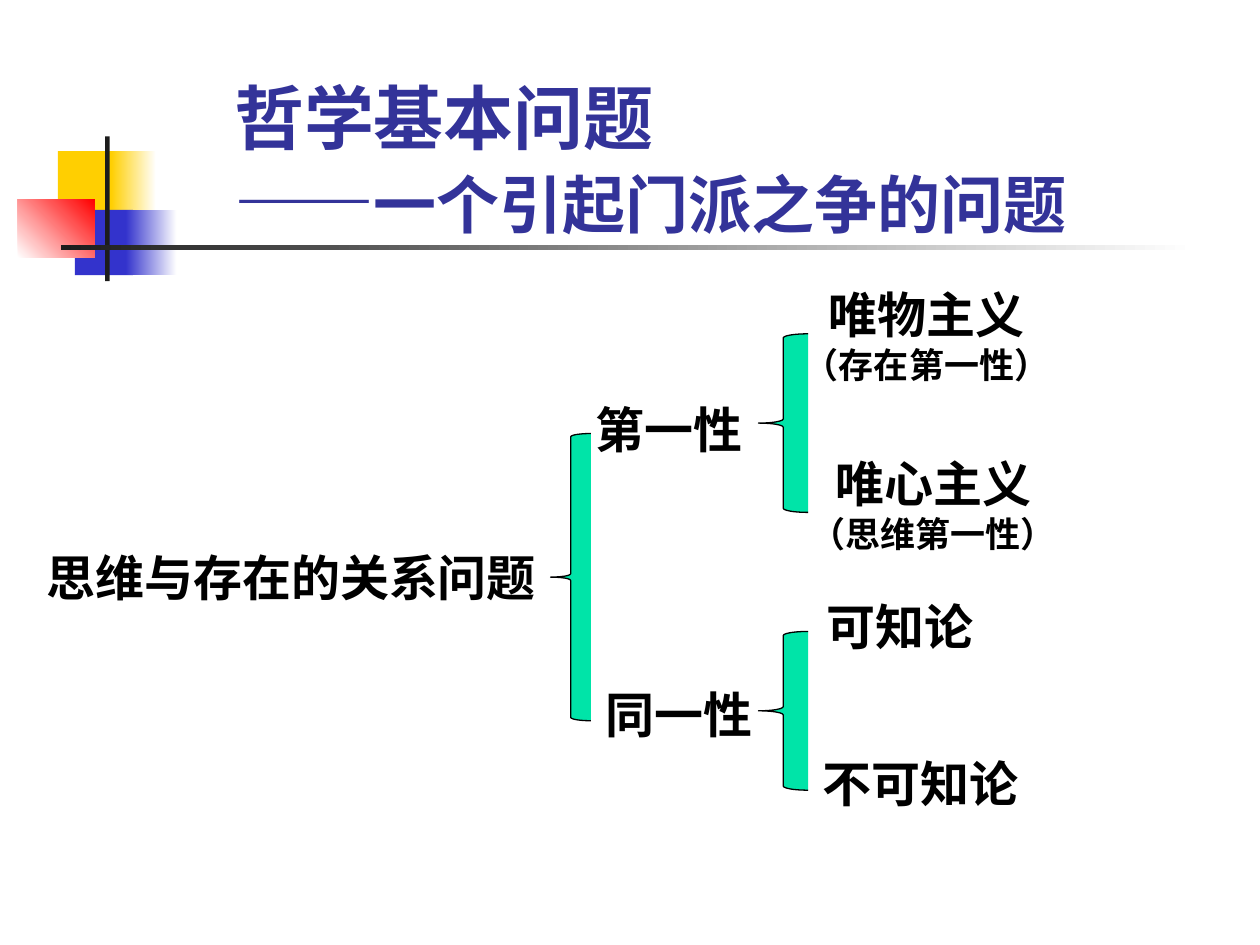
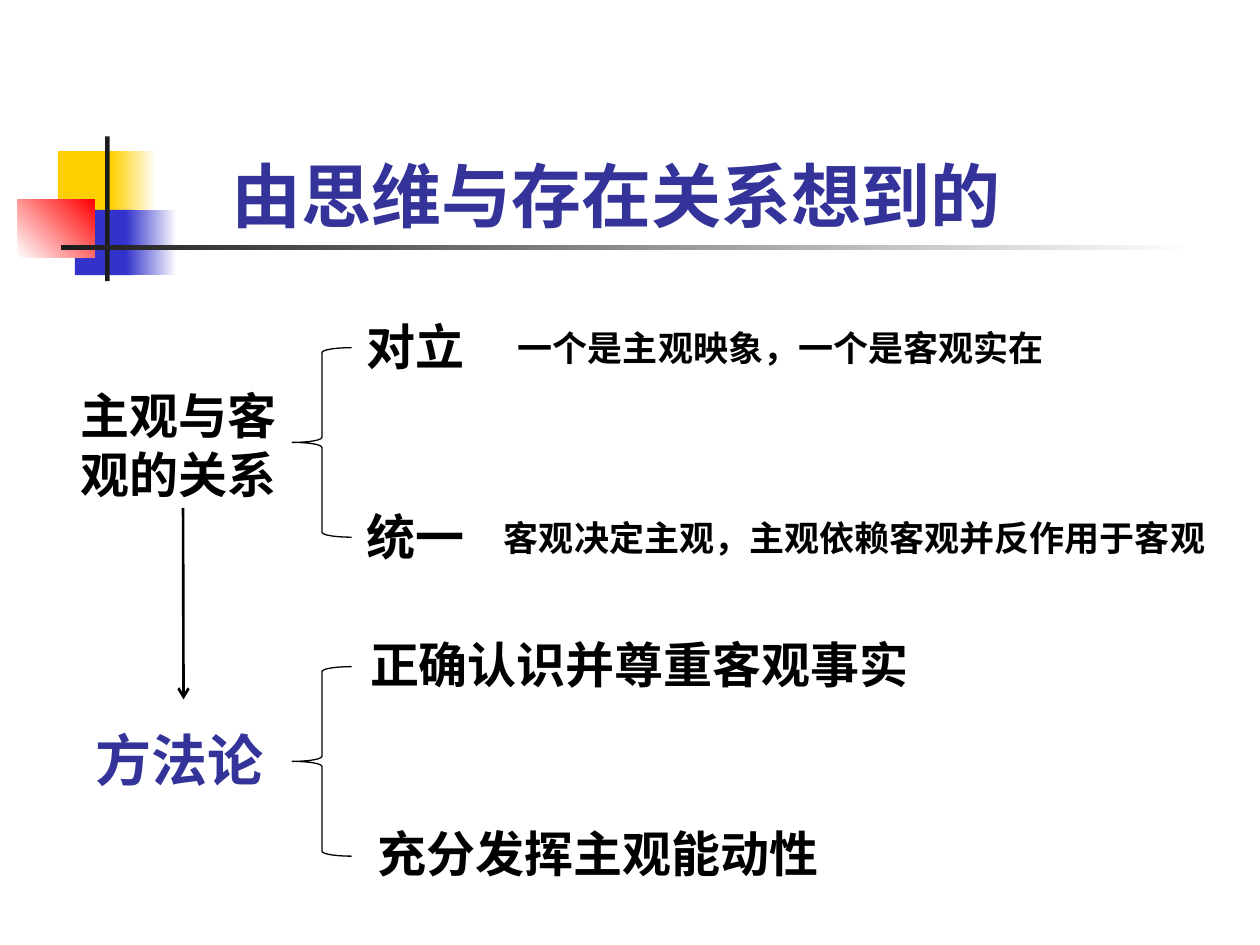
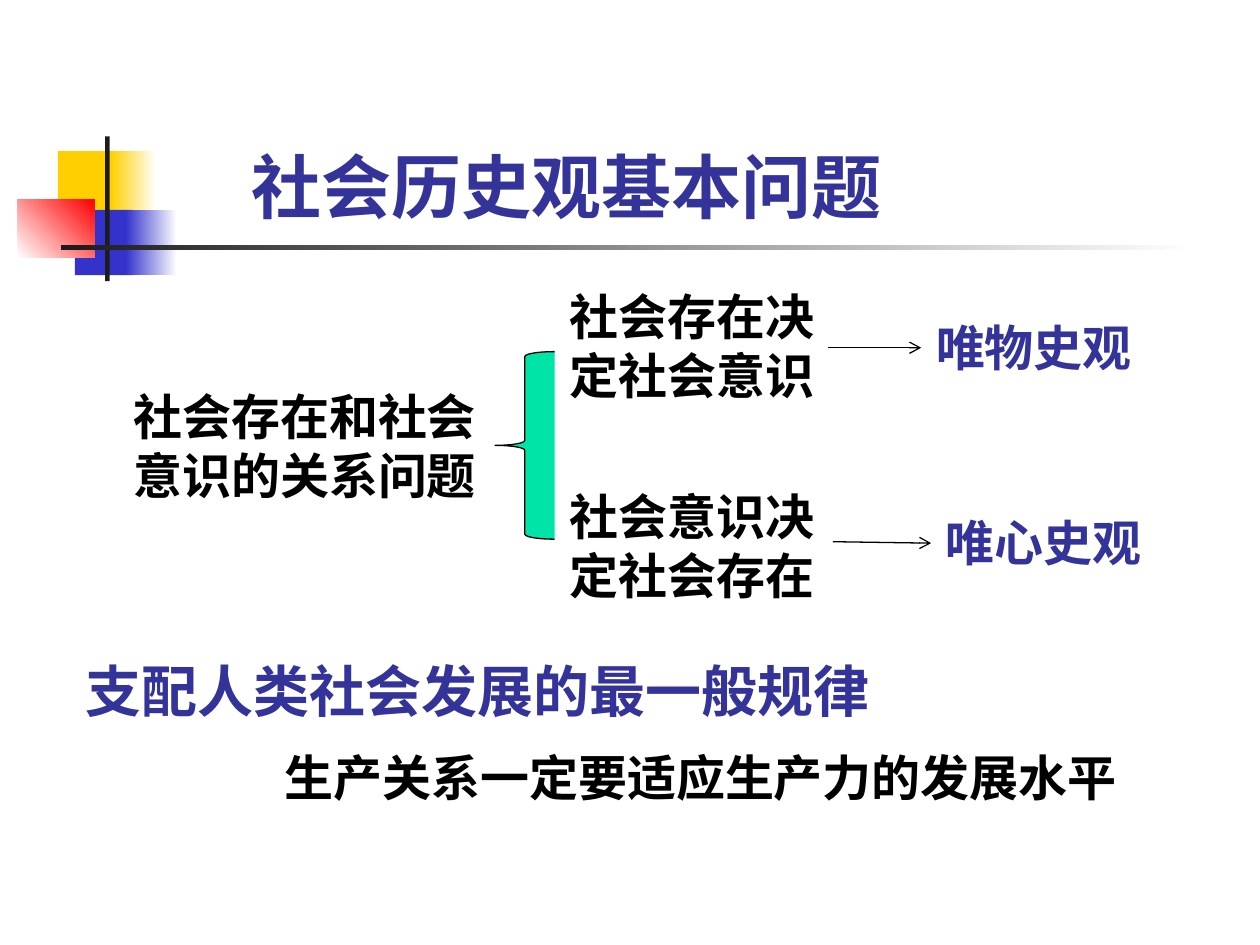
from dataclasses import dataclass

from lxml import etree
from pptx import Presentation
from pptx import util as u
from pptx.dml import color
from pptx.enum import shapes, text
from pptx.oxml import ns


@dataclass(frozen=True)
class Theme:
    black: str = "000000"
    white: str = "FFFFFF"
    heading: str = "333399"
    brace: str = "00E4A8"
    yellow: str = "FFCF01"
    blue: str = "3333CC"
    red: str = "FF0000"
    rule: str = "1C1C1C"
    title_size: int = 40
    subtitle_size: int = 36
    key_size: int = 32
    body_size: int = 28
    note_size: int = 20
    thin: float = 0.75
    thick: float = 1.5
    latin: str = "Arial"
    chinese: str = "Noto Sans CJK SC"


def rgb(value):
    return color.RGBColor.from_string(value)


def apply(target, values):
    for name, value in values.items():
        setattr(target, name, value)


class Deck:
    def __init__(self, theme):
        self.theme = theme
        self.presentation = Presentation()
        self.presentation.slide_width = u.Cm(25.4)
        self.presentation.slide_height = u.Cm(19.05)
        self.slide = None
        self.body_font = theme.latin

    def start_slide(self, body_font):
        self.slide = self.presentation.slides.add_slide(self.presentation.slide_layouts[6])
        self.body_font = body_font
        self.emblem()

    def emblem(self):
        t = self.theme
        self.block(1.17, 3.05, 1.22, 1.32, t.yellow)
        self.block(2.24, 3.05, 0.91, 1.32, t.yellow, t.white)
        self.block(1.51, 4.23, 1.17, 1.32, t.blue)
        self.block(2.54, 4.23, 1.02, 1.32, t.blue, t.white)
        self.block(0.36, 4.02, 1.55, 1.17, t.white, t.red, 45)
        self.block(2.12, 2.75, 0.09, 2.92, t.rule)
        self.block(1.23, 4.94, 22.86, 0.1, t.rule, t.white)

    def shape(self, kind, left, top, width, height):
        shape = self.slide.shapes.add_shape(
            kind, u.Cm(left), u.Cm(top), u.Cm(width), u.Cm(height))
        shape.shadow.inherit = False
        return shape

    def block(self, left, top, width, height, start, end=None, angle=0):
        shape = self.shape(shapes.MSO_SHAPE.RECTANGLE, left, top, width, height)
        shape.line.fill.background()
        if end is None:
            shape.fill.solid()
            shape.fill.fore_color.rgb = rgb(start)
            return
        shape.fill.gradient()
        shape.fill.gradient_angle = angle
        for stop, value in zip(shape.fill.gradient_stops, (start, end)):
            stop.color.rgb = rgb(value)

    def brace(self, left, top, width, height, fill=None):
        shape = self.shape(shapes.MSO_SHAPE.LEFT_BRACE, left, top, width, height)
        if fill:
            shape.fill.solid()
            shape.fill.fore_color.rgb = rgb(fill)
        else:
            shape.fill.background()
        self.outline(shape.line, self.theme.thin)

    def outline(self, line, width):
        line.color.rgb = rgb(self.theme.black)
        line.width = u.Pt(width)

    def arrow(self, start, end, width):
        connector = self.slide.shapes.add_connector(
            shapes.MSO_CONNECTOR.STRAIGHT, *(u.Cm(value) for value in start + end))
        self.outline(connector.line, width)
        line = connector.line._get_or_add_ln()
        etree.SubElement(line, ns.qn("a:tailEnd"), type="arrow")
        etree.SubElement(connector._element.spPr, ns.qn("a:effectLst"))

    def label(self, left, top, width, *lines, size=None, ink=None, font=None, centred=False):
        size = size or self.theme.body_size
        rows = [[(line, {})] if isinstance(line, str) else line for line in lines]
        line_sizes = [max(style.get("size", size) for _, style in row) for row in rows]
        height = sum(line_sizes) * 0.0425 + 0.25
        box = self.slide.shapes.add_textbox(
            u.Cm(left), u.Cm(top), u.Cm(width), u.Cm(height))
        frame = box.text_frame
        apply(frame, {"word_wrap": False, "auto_size": text.MSO_AUTO_SIZE.SHAPE_TO_FIT_TEXT})
        for index, row in enumerate(rows):
            paragraph = frame.add_paragraph() if index else frame.paragraphs[0]
            if centred:
                paragraph.alignment = text.PP_ALIGN.CENTER
            for words, style in row:
                run = paragraph.add_run()
                run.text = words
                run.font.color.rgb = rgb(ink or self.theme.black)
                apply(run.font, {
                    "name": style.get("font", font or self.body_font),
                    "size": u.Pt(style.get("size", size)),
                    "bold": True,
                })
                etree.SubElement(run._r.get_or_add_rPr(), ns.qn("a:ea"),
                                 typeface=self.theme.chinese)

    def title(self, left, top, width, *lines):
        t = self.theme
        self.label(left, top, width, *lines, size=t.title_size, ink=t.heading, font=t.latin)

    def school(self, left, top, name, claim):
        self.label(left, top, 5.46, name, [(claim, {"size": self.theme.note_size})],
                   centred=True)


def philosophy_slide(deck):
    t = deck.theme
    deck.start_slide(t.latin)
    deck.title(4.47, 1.37, 17.3, "哲学基本问题",
               [("——", {"font": t.chinese}),
                ("一个引起门派之争的问题", {"size": t.subtitle_size})])
    deck.label(0.69, 10.92, 11, "思维与存在的关系问题")
    deck.label(11.76, 7.92, 3.68, "第一性")
    deck.school(15.95, 5.61, "唯物主义", "（存在第一性）")
    deck.school(16.08, 9.02, "唯心主义", "（思维第一性）")
    deck.label(11.96, 13.67, 3.68, "同一性")
    deck.label(16.41, 11.91, 3.68, "可知论")
    deck.label(16.33, 15.06, 4.45, "不可知论")
    deck.brace(11.1, 8.74, 0.81, 5.79, t.brace)
    deck.brace(15.29, 6.73, 1, 3.6, t.brace)
    deck.brace(15.29, 12.73, 1, 3.2, t.brace)


def thinking_slide(deck):
    t = deck.theme
    deck.start_slide(t.latin)
    deck.label(1.37, 7.65, 4.67, "主观与客", "观的关系")
    deck.label(7.14, 6.25, 2.69, "对立")
    deck.label(10.19, 6.45, 11.4, "一个是主观映象，一个是客观实在", size=t.note_size)
    deck.label(7.14, 10.08, 2.69, "统一")
    deck.label(9.91, 10.29, 15.19, "客观决定主观，主观依赖客观并反作用于客观",
               size=t.note_size)
    deck.label(1.68, 14.5, 4.14, "方法论", size=t.key_size, ink=t.heading)
    deck.label(7.21, 12.67, 11.7, "正确认识并尊重客观事实")
    deck.label(7.37, 16.48, 9.6, "充分发挥主观能动性")
    for top in (7.01, 13.44):
        deck.brace(5.89, top, 1.2, 3.82)
    deck.title(4.42, 2.95, 16.3, "由思维与存在关系想到的")
    deck.arrow((3.69, 10.24), (3.7, 14.1), t.thick)


def history_slide(deck):
    t = deck.theme
    deck.start_slide(t.chinese)
    deck.title(4.83, 2.77, 13.5, "社会历史观基本问题")
    deck.label(2.44, 7.67, 7.42, "社会存在和社会", "意识的关系问题")
    deck.label(11.23, 5.66, 5.44, "社会存在决", "定社会意识")
    deck.label(18.62, 6.27, 4.45, "唯物史观", ink=t.heading)
    deck.label(11.23, 9.68, 5.44, "社会意识决", "定社会存在")
    deck.label(18.82, 10.21, 4.45, "唯心史观", ink=t.heading)
    deck.label(1.47, 13.11, 16.5, "支配人类社会发展的最一般规律",
               size=t.key_size, ink=t.heading)
    deck.label(5.49, 14.94, 17.4, "生产关系一定要适应生产力的发展水平")
    deck.brace(9.98, 7.09, 1.2, 3.78, t.brace)
    deck.arrow((16.69, 7.01), (18.57, 7.01), t.thin)
    deck.arrow((16.79, 10.92), (18.77, 10.95), t.thin)


def main():
    deck = Deck(Theme())
    for build in (philosophy_slide, thinking_slide, history_slide):
        build(deck)
    deck.presentation.save("out.pptx")


if __name__ == "__main__":
    main()
